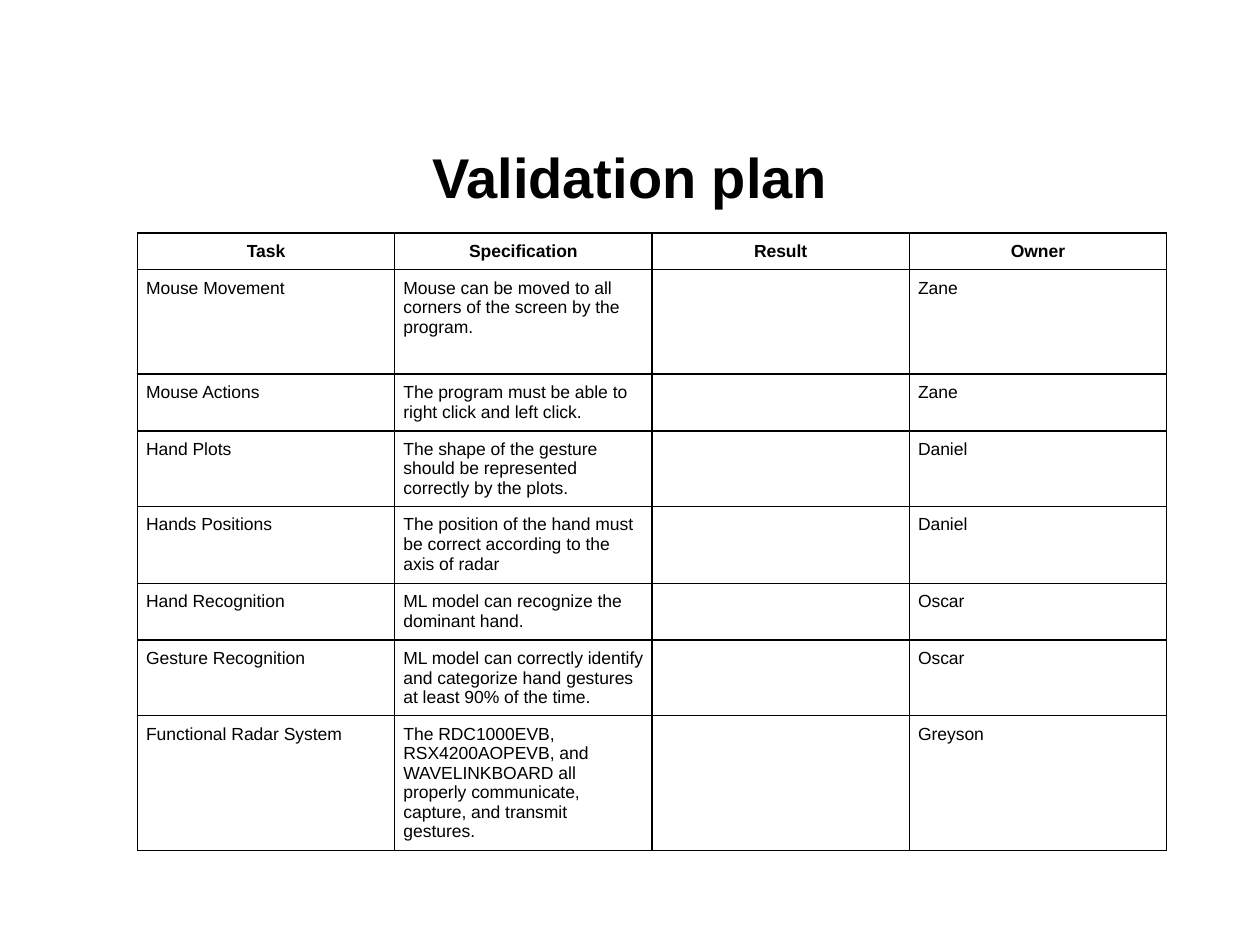
from typing import NamedTuple

from lxml.etree import SubElement
from pptx import Presentation
from pptx.dml.color import RGBColor
from pptx.enum.text import MSO_ANCHOR, PP_ALIGN
from pptx.oxml.ns import qn
from pptx.util import Inches, Pt

BLACK = "000000"
FONT = "Arial"
TABLE_WIDTH = Inches(8.17)
CELL_MARGIN = Pt(5)
HEADINGS = ("Task", "Specification", "Result", "Owner")
HEADING_HEIGHT = 0.29


class Check(NamedTuple):
    task: str
    specification: str
    owner: str
    height: float


CHECKS = [
    Check("Mouse Movement", "Mouse can be moved to all corners of the screen by the program.", "Zane", 0.83),
    Check("Mouse Actions", "The program must be able to right click and left click.", "Zane", 0.45),
    Check("Hand Plots", "The shape of the gesture should be represented correctly by the plots.", "Daniel", 0.6),
    Check("Hands Positions", "The position of the hand must be correct according to the axis of radar", "Daniel", 0.61),
    Check("Hand Recognition", "ML model can recognize the dominant hand.", "Oscar", 0.45),
    Check("Gesture Recognition",
          "ML model can correctly identify and categorize hand gestures at least 90% of the time.", "Oscar", 0.6),
    Check("Functional Radar System",
          "The RDC1000EVB, RSX4200AOPEVB, and WAVELINKBOARD all properly communicate, capture, "
          "and transmit gestures.", "Greyson", 1.07),
]


def color(value: str) -> RGBColor:
    return RGBColor.from_string(value)


def write(frame, text: str, size: int, bold: bool, align) -> None:
    frame.text = text
    para = frame.paragraphs[0]
    para.alignment = align
    para.line_spacing = 1.0
    for span in para.runs:
        span.font.name = FONT
        span.font.size = Pt(size)
        span.font.bold = bold
        span.font.color.rgb = color(BLACK)


def add_borders(cell) -> None:
    properties = cell._tc.get_or_add_tcPr()
    for side in ("a:lnL", "a:lnR", "a:lnT", "a:lnB"):
        line = SubElement(properties, qn(side), w=str(Pt(1)))
        fill = SubElement(line, qn("a:solidFill"))
        SubElement(fill, qn("a:srgbClr"), val=BLACK)


def fill_cell(cell, text: str, heading: bool) -> None:
    cell.margin_left = cell.margin_right = cell.margin_top = CELL_MARGIN
    cell.margin_bottom = Inches(0)  # the row heights already leave room below the text
    add_borders(cell)
    cell.fill.background()
    if text:
        write(cell.text_frame, text, 10, heading, PP_ALIGN.CENTER if heading else PP_ALIGN.LEFT)


def add_title(page) -> None:
    box = page.shapes.add_textbox(Inches(0.5), Inches(0.96), Inches(9), Inches(0.88))
    box.text_frame.word_wrap = True
    box.text_frame.vertical_anchor = MSO_ANCHOR.MIDDLE
    write(box.text_frame, "Validation plan", 32, True, PP_ALIGN.CENTER)


def add_plan(page) -> None:
    rows = [HEADINGS] + [(check.task, check.specification, "", check.owner) for check in CHECKS]
    heights = [HEADING_HEIGHT] + [check.height for check in CHECKS]
    table = page.shapes.add_table(
        len(rows), len(HEADINGS), Inches(1.09), Inches(1.85),
        TABLE_WIDTH, Inches(sum(heights)),
    ).table
    table.first_row = table.horz_banding = False
    for column in table.columns:
        column.width = TABLE_WIDTH // len(HEADINGS)
    for index, (texts, height) in enumerate(zip(rows, heights)):
        table.rows[index].height = Inches(height)
        for cell, text in zip(table.rows[index].cells, texts):
            fill_cell(cell, text, heading=index == 0)


def main() -> None:
    deck = Presentation()
    deck.slide_width, deck.slide_height = Inches(10), Inches(7.5)
    page = deck.slides.add_slide(deck.slide_layouts[6])
    add_title(page)
    add_plan(page)
    deck.save("out.pptx")


if __name__ == "__main__":
    main()
